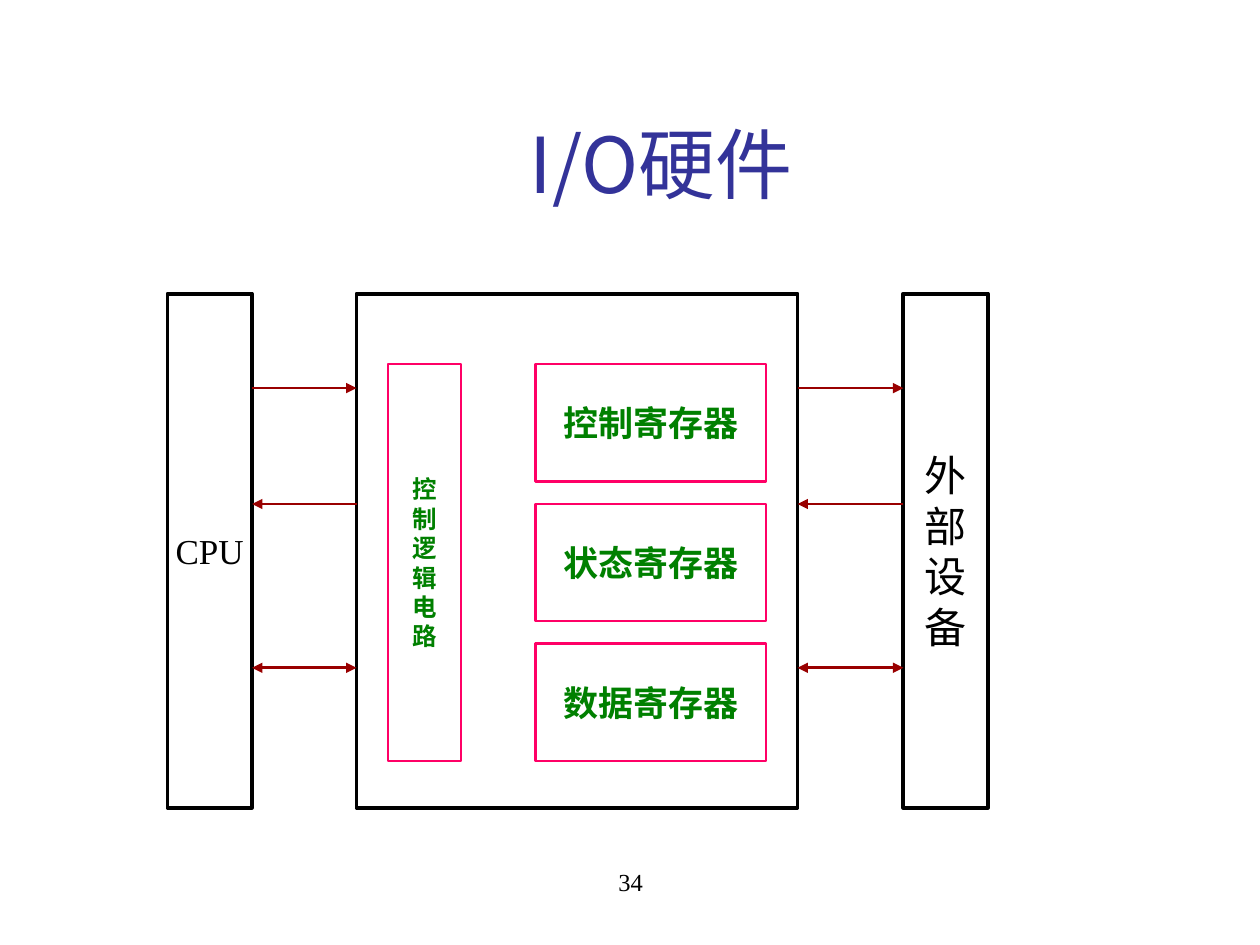
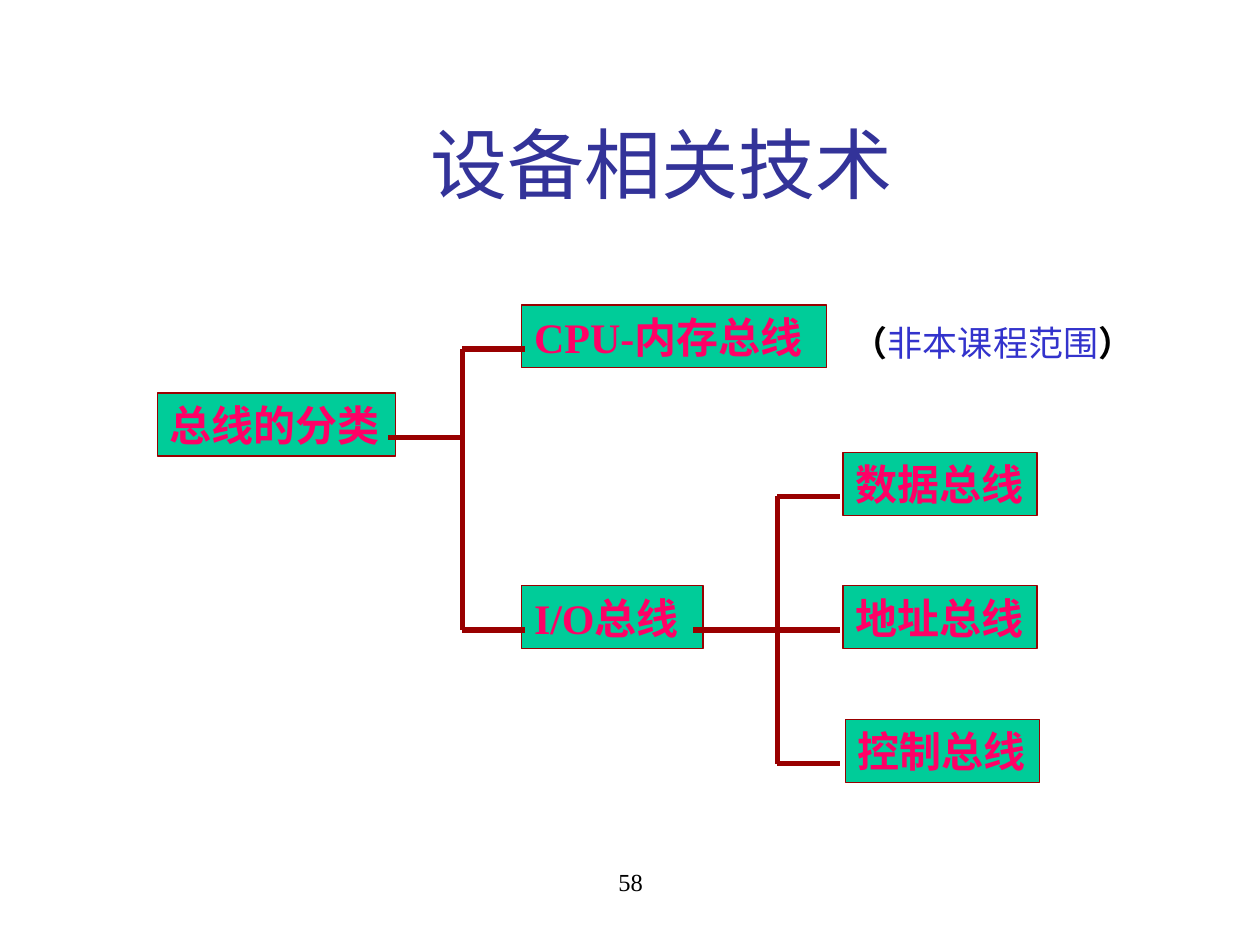
from dataclasses import dataclass

from lxml.etree import SubElement
from pptx import Presentation
from pptx.dml.color import RGBColor
from pptx.enum.shapes import MSO_CONNECTOR, MSO_SHAPE
from pptx.enum.text import MSO_ANCHOR as Anchor, MSO_AUTO_SIZE as AutoSize, PP_ALIGN as Align
from pptx.oxml.ns import qn
from pptx.util import Inches, Pt

COLORS = {
    "title": "333399",
    "text": "000000",
    "line": "990000",
    "accent": "FF0066",
    "register": "008000",
    "node": "00CC99",
    "note": "3333CC",
}
SERIF = "Times New Roman"
SANS = "Noto Sans CJK SC"


@dataclass
class Box:
    left: float
    top: float
    width: float
    height: float
    text: str = ""
    size: int = 20
    color: str = "text"
    bold: bool = False
    border: str = "text"
    weight: float = 2.25
    fill: str = ""
    hug: bool = False


@dataclass
class Line:
    x1: float
    y1: float
    x2: float
    y2: float
    weight: float = 3
    ends: tuple[str, ...] = ()


def rgb(name: str) -> RGBColor:
    return RGBColor.from_string(COLORS[name])


def style_run(r, size: int, color: str, bold: bool = False, font: str = SERIF) -> None:
    r.font.size = Pt(size)
    r.font.bold = bold
    r.font.color.rgb = rgb(color)
    r.font.name = font
    SubElement(r.font._element, qn("a:ea")).set("typeface", SANS)


def style_text(tf, align: Align, size: int, color: str, bold: bool = False, font: str = SERIF) -> None:
    for p in tf.paragraphs:
        p.alignment = align
        for r in p.runs:
            style_run(r, size, color, bold, font)


def draw_box(s, box: Box) -> None:
    sp = s.shapes.add_shape(MSO_SHAPE.RECTANGLE, Inches(box.left), Inches(box.top),
                            Inches(box.width), Inches(box.height))
    sp.shadow.inherit = False
    if box.fill:
        sp.fill.solid()
        sp.fill.fore_color.rgb = rgb(box.fill)
    else:
        sp.fill.background()
    sp.line.color.rgb = rgb(box.border)
    sp.line.width = Pt(box.weight)
    if not box.text:
        return
    tf = sp.text_frame
    tf.text = box.text
    tf.word_wrap = False
    tf.auto_size = AutoSize.SHAPE_TO_FIT_TEXT if box.hug else AutoSize.NONE
    tf.vertical_anchor = Anchor.TOP if box.hug else Anchor.MIDDLE
    style_text(tf, Align.LEFT if box.hug else Align.CENTER, box.size, box.color, box.bold)


def draw_line(s, line: Line) -> None:
    cx = s.shapes.add_connector(MSO_CONNECTOR.STRAIGHT, Inches(line.x1), Inches(line.y1),
                                Inches(line.x2), Inches(line.y2))
    cx.line.color.rgb = rgb("line")
    cx.line.width = Pt(line.weight)
    ln = cx.line._get_or_add_ln()
    for end in line.ends:
        SubElement(ln, qn(f"a:{end}")).set("type", "triangle")
    SubElement(cx._element.spPr, qn("a:effectLst"))


def add_slide(prs, title: str, number: int):
    s = prs.slides.add_slide(prs.slide_layouts[5])
    sp = s.shapes.title
    sp.left, sp.top, sp.width, sp.height = Inches(1), Inches(0.67), Inches(8.5), Inches(1.25)
    tf = sp.text_frame
    tf.text = title
    tf.auto_size = AutoSize.NONE
    tf.vertical_anchor = Anchor.MIDDLE
    style_text(tf, Align.CENTER, 44, "title", font=SANS)

    tf = s.shapes.add_textbox(Inches(3.42), Inches(6.83), Inches(3.17), Inches(0.5)).text_frame
    tf.word_wrap = True
    tf.text = str(number)
    style_text(tf, Align.CENTER, 14, "text")
    return s


def vertical(text: str) -> str:
    return "\n".join(text)


def inner_box(left: float, top: float, width: float, height: float, text: str, size: int = 20) -> Box:
    return Box(left, top, width, height, text, size, "register", True, "accent", 1.5)


def bus_node(left: float, top: float, width: float, text: str) -> Box:
    return Box(left, top, width, 0.5, text, 24, "accent", True, "line", 0.75, "node", True)


def build_hardware(prs) -> None:
    s = add_slide(prs, "I/O硬件", 34)
    top, height = 2.33, 4.08
    boxes = [
        Box(1.33, top, 0.67, height, "CPU"),
        Box(2.83, top, 3.5, height),
        Box(7.17, top, 0.67, height, vertical("外部设备"), 24),
        inner_box(3.08, 2.89, 0.58, 3.15, vertical("控制逻辑电路"), 14),
    ]
    registers = ("控制寄存器", "状态寄存器", "数据寄存器")
    boxes += [inner_box(4.25, 2.89 + 1.11 * i, 1.83, 0.93, name) for i, name in enumerate(registers)]
    for box in boxes:
        draw_box(s, box)

    for left, right in ((2, 2.83), (6.33, 7.17)):
        draw_line(s, Line(left, 3.08, right, 3.08, 1.5, ("tailEnd",)))
        draw_line(s, Line(right, 4, left, 4, 1.5, ("tailEnd",)))
        draw_line(s, Line(left, 5.3, right, 5.3, 1.5, ("headEnd", "tailEnd")))


def build_buses(prs) -> None:
    s = add_slide(prs, "设备相关技术", 58)
    tf = s.shapes.add_textbox(Inches(6.67), Inches(2.5), Inches(2.45), Inches(0.44)).text_frame
    tf.word_wrap = False
    tf.auto_size = AutoSize.SHAPE_TO_FIT_TEXT
    for text, color, bold in (("（", "text", True), ("非本课程范围", "note", False), ("）", "text", True)):
        r = tf.paragraphs[0].add_run()
        r.text = text
        style_run(r, 20, color, bold)

    nodes = [
        bus_node(1.25, 3.12, 1.89, "总线的分类"),
        bus_node(4.14, 2.42, 2.42, "CPU-内存总线"),
        bus_node(4.14, 4.65, 1.44, "I/O总线"),
        bus_node(6.69, 3.59, 1.54, "数据总线"),
        bus_node(6.69, 4.65, 1.54, "地址总线"),
        bus_node(6.71, 5.71, 1.54, "控制总线"),
    ]
    for node in nodes:
        draw_box(s, node)

    class_x, io_x = 3.67, 6.17
    class_ys, io_ys = (2.77, 5), (3.94, 6.06)
    draw_line(s, Line(3.08, 3.47, class_x, 3.47))
    draw_line(s, Line(5.5, 5, 6.67, 5))
    for x, ys in ((class_x, class_ys), (io_x, io_ys)):
        draw_line(s, Line(x, ys[0], x, ys[1]))
        for y in ys:
            draw_line(s, Line(x, y, x + 0.5, y))


def main() -> None:
    prs = Presentation()
    prs.slide_width, prs.slide_height = Inches(10), Inches(7.5)
    build_hardware(prs)
    build_buses(prs)
    prs.save("out.pptx")


if __name__ == "__main__":
    main()
